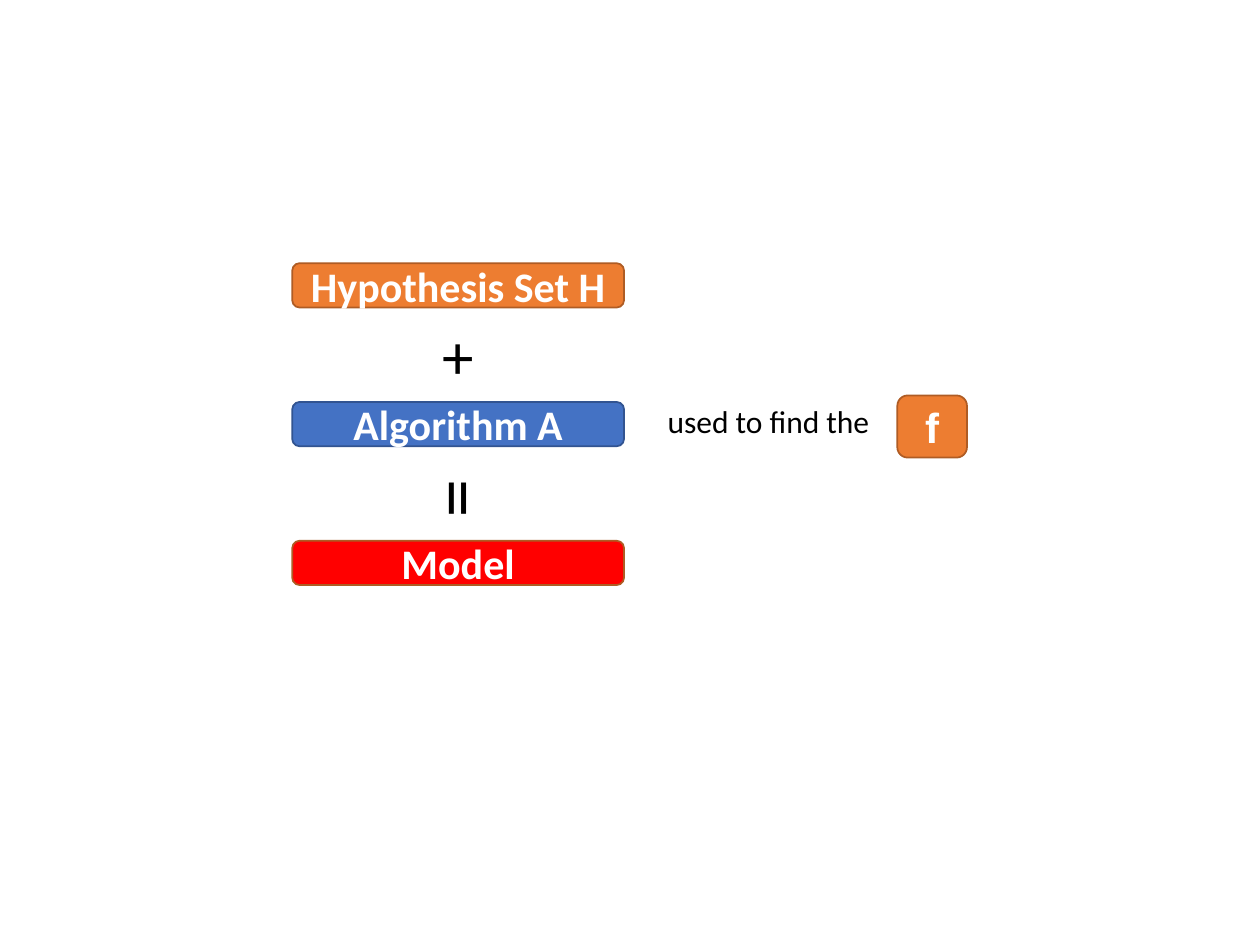
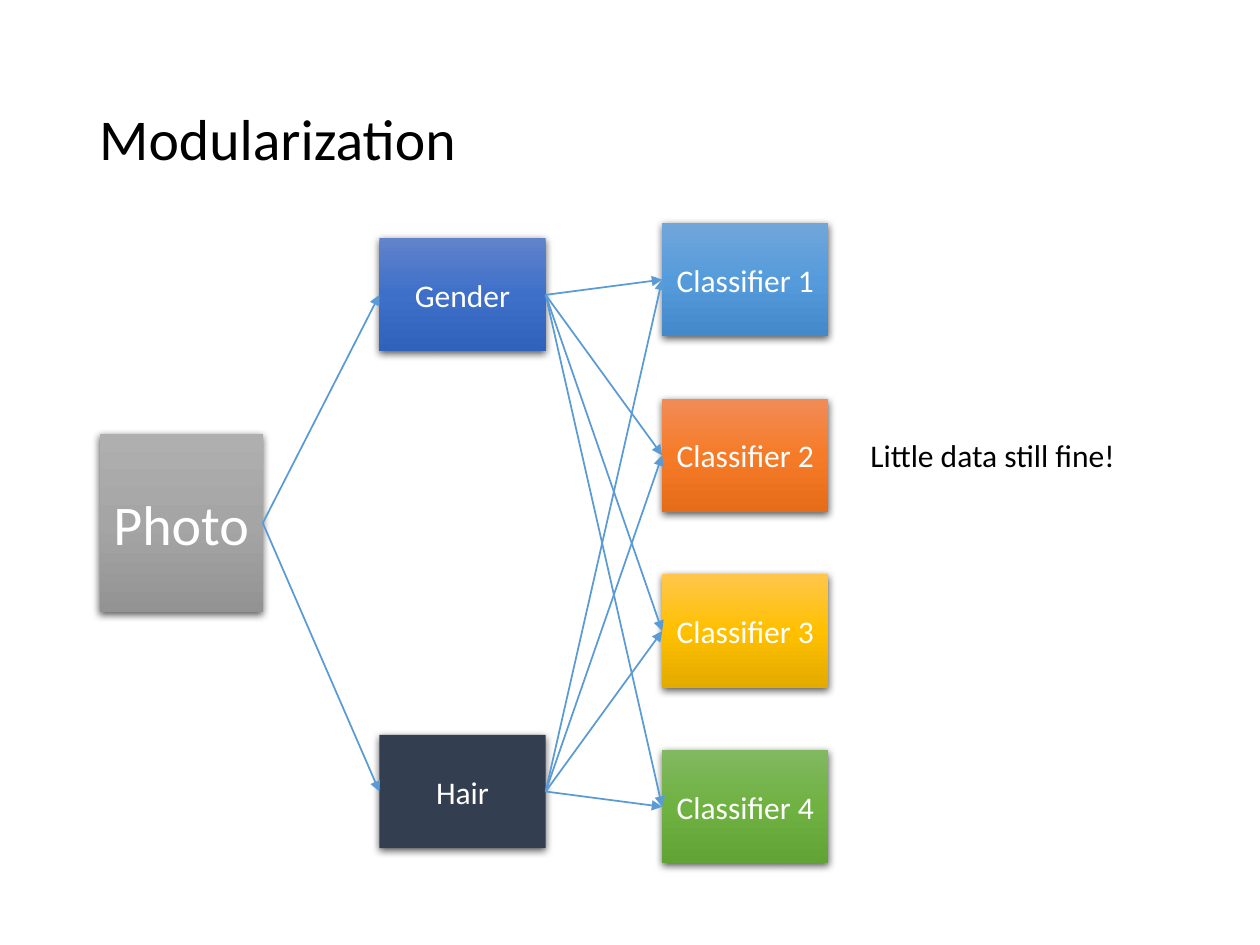
import copy
from dataclasses import dataclass

import pptx
import pptx.dml.color
import pptx.enum.dml
import pptx.enum.shapes
import pptx.enum.text
import pptx.oxml
import pptx.oxml.ns
import pptx.util
from pptx.presentation import Presentation
from pptx.shapes.autoshape import Shape
from pptx.slide import Slide

Pt = pptx.util.Pt
qn = pptx.oxml.ns.qn
SHAPES = pptx.enum.shapes.MSO_SHAPE
ALIGN = pptx.enum.text.PP_ALIGN
ANCHOR = pptx.enum.text.MSO_ANCHOR
AUTO_SIZE = pptx.enum.text.MSO_AUTO_SIZE

FONT = "Calibri"
BLACK, WHITE = "000000", "FFFFFF"
ORANGE, ORANGE_EDGE = "ED7D31", "AF5C24"
BLUE, BLUE_EDGE = "4472C4", "325491"
RED, ARROW_BLUE = "FF0000", "5B9BD5"
TITLE_SIZE, BODY_SIZE, PILL_SIZE = 33, 18, 24

PILL_LEFT, PILL_TOP, PILL_STEP = 167, 150.4, 79.3
PILL_WIDTH, PILL_HEIGHT = 189.6, 25.3
NODE_WIDTH, NODE_HEIGHT = 95, 64.8
FEATURE_LEFT, CLASSIFIER_LEFT = 216.8, 378.4
CLASSIFIER_TOP, CLASSIFIER_STEP = 127.4, 100.4

SHADOW = (
    f'<a:outerShdw {pptx.oxml.ns.nsdecls("a")} blurRad="57150" dist="19050" '
    'dir="5400000" algn="ctr" rotWithShape="0">'
    '<a:srgbClr val="000000"><a:alpha val="63000"/></a:srgbClr></a:outerShdw>'
)


@dataclass
class Pill:
    text: str
    left: float
    top: float
    fill: str
    edge: str = ORANGE_EDGE
    width: float = PILL_WIDTH
    height: float = PILL_HEIGHT
    font: str = FONT


@dataclass
class Node:
    """A shadowed box; three colours make a gradient from top to bottom."""
    text: str
    left: float
    top: float
    colors: tuple[str, ...]
    width: float = NODE_WIDTH
    height: float = NODE_HEIGHT
    size: float = BODY_SIZE


@dataclass
class Label:
    text: str
    left: float
    top: float
    width: float
    height: float
    size: float = BODY_SIZE
    vertical: bool = False


def rgb(color: str) -> pptx.dml.color.RGBColor:
    return pptx.dml.color.RGBColor.from_string(color)


def write(shape: Shape, text: str, size: float, color: str, align=ALIGN.LEFT,
          font: str = FONT, bold: bool = False) -> None:
    paragraph = shape.text_frame.paragraphs[0]
    paragraph.text = text
    paragraph.alignment = align
    paragraph.font.name = font
    paragraph.font.size = Pt(size)
    paragraph.font.bold = bold
    paragraph.font.color.rgb = rgb(color)


def add_box(slide: Slide, box: Pill | Node, kind: SHAPES) -> Shape:
    shape = slide.shapes.add_shape(
        kind, Pt(box.left), Pt(box.top), Pt(box.width), Pt(box.height))
    shape.shadow.inherit = False
    shape.text_frame.word_wrap = True
    shape.text_frame.vertical_anchor = ANCHOR.MIDDLE
    return shape


def add_pill(slide: Slide, pill: Pill) -> None:
    shape = add_box(slide, pill, SHAPES.ROUNDED_RECTANGLE)
    shape.fill.solid()
    shape.fill.fore_color.rgb = rgb(pill.fill)
    shape.line.color.rgb = rgb(pill.edge)
    shape.line.width = Pt(1)
    write(shape, pill.text, PILL_SIZE, WHITE, ALIGN.CENTER, pill.font, bold=True)


def fill_gradient(shape: Shape, colors: tuple[str, ...]) -> None:
    shape.fill.gradient()
    shape.fill.gradient_angle = 270
    stop_list = shape.element.spPr.find(qn("a:gradFill")).find(qn("a:gsLst"))
    while len(stop_list) < len(colors):
        stop_list.append(copy.deepcopy(stop_list[-1]))
    for index, (stop, color) in enumerate(zip(shape.fill.gradient_stops, colors)):
        stop.position = index / (len(colors) - 1)
        stop.color.rgb = rgb(color)


def add_node(slide: Slide, node: Node) -> Shape:
    shape = add_box(slide, node, SHAPES.RECTANGLE)
    if len(node.colors) > 1:
        fill_gradient(shape, node.colors)
    else:
        shape.fill.solid()
        shape.fill.fore_color.rgb = rgb(node.colors[0])
    shape.line.fill.background()
    effects = shape.element.spPr.find(qn("a:effectLst"))
    effects.append(pptx.oxml.parse_xml(SHADOW))
    write(shape, node.text, node.size, WHITE, ALIGN.CENTER)
    return shape


def add_label(slide: Slide, label: Label) -> None:
    shape = slide.shapes.add_textbox(
        Pt(label.left), Pt(label.top), Pt(label.width), Pt(label.height))
    shape.text_frame.word_wrap = False
    shape.text_frame.auto_size = AUTO_SIZE.SHAPE_TO_FIT_TEXT
    if label.vertical:
        shape.text_frame._txBody.bodyPr.set("vert", "eaVert")
    write(shape, label.text, label.size, BLACK)


def add_arrow(slide: Slide, source: Shape, target: Shape) -> None:
    """Join the right side of source to the left side of target."""
    connector = slide.shapes.add_connector(
        pptx.enum.shapes.MSO_CONNECTOR.STRAIGHT, 0, 0, 0, 0)
    connector.begin_connect(source, 3)
    connector.end_connect(target, 1)
    connector.line.color.rgb = rgb(ARROW_BLUE)
    connector.line.width = Pt(1)
    line = connector.line._get_or_add_ln()
    line.append(line.makeelement(qn("a:tailEnd"), {"type": "triangle"}))
    properties = connector._element.spPr
    properties.append(properties.makeelement(qn("a:effectLst"), {}))


def set_title(slide: Slide, text: str) -> None:
    title = slide.shapes.title
    title.left, title.top = Pt(49.5), Pt(28.75)
    title.width, title.height = Pt(621), Pt(104.4)
    title.text_frame.vertical_anchor = ANCHOR.MIDDLE
    title.text_frame.auto_size = AUTO_SIZE.NONE
    write(title, text, TITLE_SIZE, BLACK)
    title.text_frame.paragraphs[0].line_spacing = 0.9


def build_model_slide(presentation: Presentation) -> None:
    slide = presentation.slides.add_slide(presentation.slide_layouts[6])
    parts = [("Hypothesis Set H", ORANGE, ORANGE_EDGE),
             ("Algorithm A", BLUE, BLUE_EDGE),
             ("Model", RED, ORANGE_EDGE)]
    for row, (text, fill, edge) in enumerate(parts):
        add_pill(slide, Pill(text, PILL_LEFT, PILL_TOP + row * PILL_STEP, fill, edge))
    add_pill(slide, Pill("f", 512.8, 226, ORANGE, width=39.8, height=35.5,
                         font="Arial"))
    for label in [Label("used to find the", 374.4, 226.1, 131.8, 28.8),
                  Label("+", 245.5, 177.1, 32.4, 51.1, size=36),
                  Label("=", 227.5, 267.1, 67.7, 29.5, size=44, vertical=True)]:
        add_label(slide, label)


def build_modularization_slide(presentation: Presentation) -> None:
    slide = presentation.slides.add_slide(presentation.slide_layouts[5])
    set_title(slide, "Modularization")
    gradients = [("71A6DB", "559BDB", "448ACA"),
                 ("F18C57", "F67B28", "E56C19"),
                 ("FFC64B", "FFC000", "E3AB00"),
                 ("81B861", "6FB242", "62A336")]
    classifiers = [
        add_node(slide, Node(f"Classifier {row + 1}", CLASSIFIER_LEFT,
                             CLASSIFIER_TOP + row * CLASSIFIER_STEP, colors))
        for row, colors in enumerate(gradients)]
    photo = add_node(slide, Node("Photo", 57, 247.9, ("AFAFAF", "A5A5A5", "939393"),
                                 width=93.2, height=102, size=32))
    features = [
        add_node(slide, Node("Gender", FEATURE_LEFT, 136.1,
                             ("6183CB", "3E70CA", "3062BB"))),
        add_node(slide, Node("Hair", FEATURE_LEFT, 419.9, ("333F50",)))]
    for feature in features:
        add_arrow(slide, photo, feature)
    for feature in features:
        for classifier in classifiers:
            add_arrow(slide, feature, classifier)
    add_label(slide, Label("Little data still fine!", 490.3, 245.7, 156.2, 28.8))


def main() -> None:
    presentation = pptx.Presentation()
    presentation.slide_width, presentation.slide_height = Pt(720), Pt(540)
    build_model_slide(presentation)
    build_modularization_slide(presentation)
    presentation.save("out.pptx")


if __name__ == "__main__":
    main()
